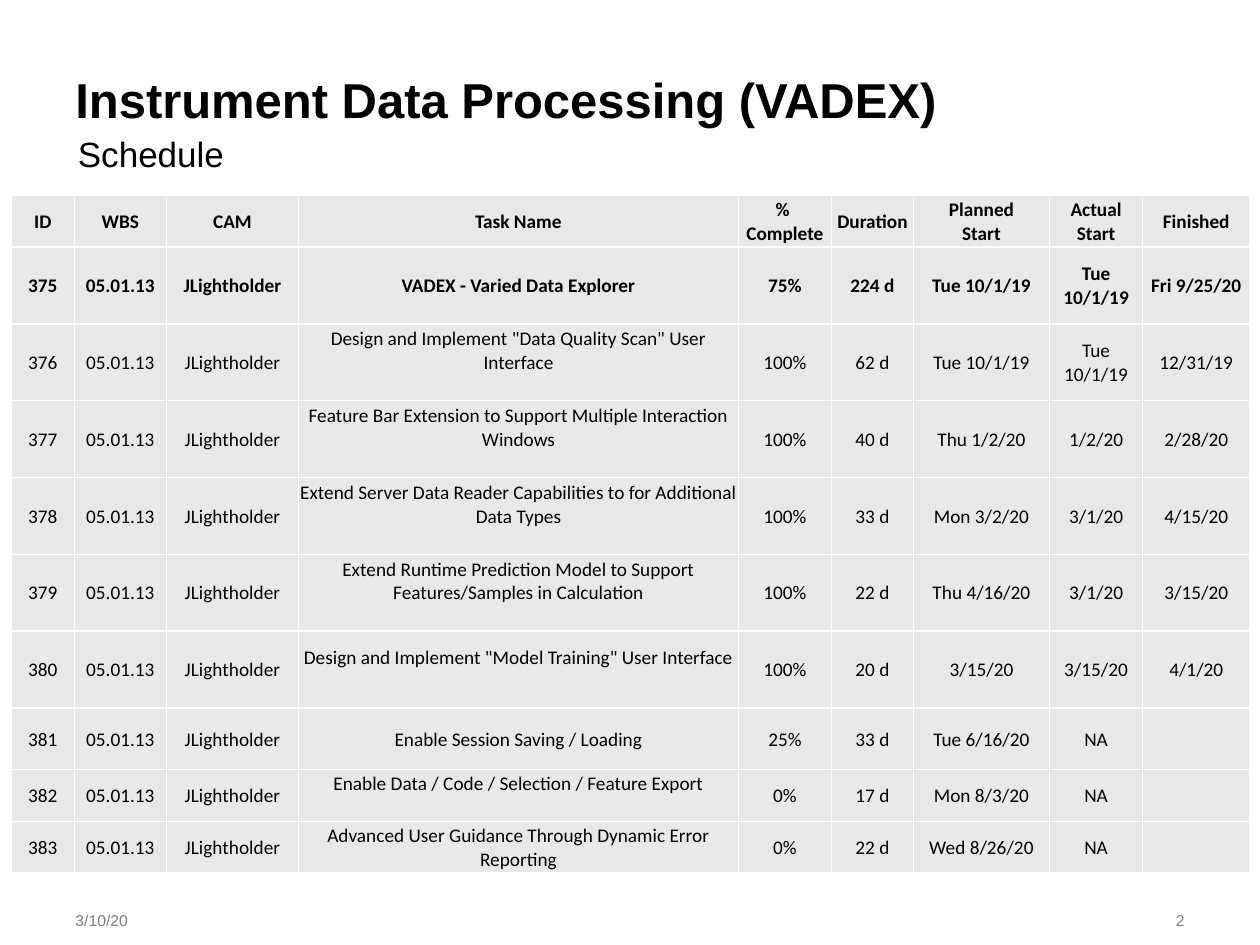
import pptx
import pptx.util
import pptx.dml.color
import pptx.enum.text
import pptx.oxml
import pptx.oxml.ns
from pptx.util import Inches

COLORS = {"text": "000000", "footer": "808080", "cell": "E8E8E8", "border": "FFFFFF"}
ALIGN = pptx.enum.text.PP_ALIGN
ANCHOR = pptx.enum.text.MSO_ANCHOR

# Content: text, (left, top, width, height), size, bold, color, align, anchor
TEXTS = [
    ("Schedule", (0.52, 1, 9, 0.36), 20, False, "text", ALIGN.LEFT, ANCHOR.TOP),
    ("Instrument Data Processing (VADEX)", (0.5, 0.5, 9, 0.48), 28, True, "text",
     ALIGN.LEFT, ANCHOR.TOP),
    ("3/10/20", (0.5, 7.1, 1.48, 0.4), 9, False, "footer", ALIGN.LEFT, ANCHOR.MIDDLE),
    ("2", (8.11, 7.1, 1.39, 0.4), 9, False, "footer", ALIGN.RIGHT, ANCHOR.MIDDLE),
]
HEADERS = ["ID", "WBS", "CAM", "Task Name", "% \nComplete", "Duration",
           "Planned\nStart", "Actual\nStart", "Finished"]
WBS, CAM = "05.01.13", "JLightholder"
# ID, task name, % complete, duration, planned start, actual start, finished
TASKS = [
    ("375", "VADEX - Varied Data Explorer", "75%", "224 d",
     "Tue 10/1/19", "Tue 10/1/19", "Fri 9/25/20"),
    ("376", 'Design and Implement "Data Quality Scan" User Interface', "100%", "62 d",
     "Tue 10/1/19", "Tue 10/1/19", "12/31/19"),
    ("377", "Feature Bar Extension to Support Multiple Interaction Windows", "100%", "40 d",
     "Thu 1/2/20", "1/2/20", "2/28/20"),
    ("378", "Extend Server Data Reader Capabilities to for Additional Data Types", "100%",
     "33 d", "Mon 3/2/20", "3/1/20", "4/15/20"),
    ("379", "Extend Runtime Prediction Model to Support Features/Samples in Calculation",
     "100%", "22 d", "Thu 4/16/20", "3/1/20", "3/15/20"),
    ("380", 'Design and Implement "Model Training" User Interface', "100%", "20 d",
     "3/15/20", "3/15/20", "4/1/20"),
    ("381", "Enable Session Saving / Loading", "25%", "33 d", "Tue 6/16/20", "NA", ""),
    ("382", "Enable Data / Code / Selection / Feature Export", "0%", "17 d",
     "Mon 8/3/20", "NA", ""),
    ("383", "Advanced User Guidance Through Dynamic Error Reporting", "0%", "22 d",
     "Wed 8/26/20", "NA", ""),
]
COLUMN_WIDTHS = [0.5, 0.73, 1.05, 3.49, 0.74, 0.65, 1.08, 0.74, 0.85]
ROW_HEIGHTS = [0.41] + [0.61] * 6 + [0.49, 0.41, 0.41]
TABLE_LEFT, TABLE_TOP = 0.09, 1.55
BOLD_ROWS = 2  # header and summary task
TASK_COLUMN = HEADERS.index("Task Name")
RAISED_IDS = {"376", "377", "378", "379", "380", "382"}  # task names set above the middle


def color(name):
    return pptx.dml.color.RGBColor.from_string(COLORS[name])


def style_paragraphs(frame, font_name, size, bold, color_name, align):
    for para in frame.paragraphs:
        para.alignment = align
        para.font.name = font_name
        para.font.size = pptx.util.Pt(size)
        para.font.bold = bold
        para.font.color.rgb = color(color_name)


def add_text(page, text, bounds, size, bold, color_name, align, anchor):
    box = page.shapes.add_textbox(*map(Inches, bounds))
    frame = box.text_frame
    frame.word_wrap = True
    frame.vertical_anchor = anchor
    frame.text = text
    style_paragraphs(frame, "Arial", size, bold, color_name, align)


def add_borders(cell):
    properties = cell._tc.get_or_add_tcPr()
    for index, side in enumerate(("lnL", "lnR", "lnT", "lnB")):
        properties.insert(index, pptx.oxml.parse_xml(
            f'<a:{side} {pptx.oxml.ns.nsdecls("a")} w="12700"><a:solidFill>'
            f'<a:srgbClr val="{COLORS["border"]}"/></a:solidFill></a:{side}>'))


def fill_cell(cell, text, bold, raised):
    cell.text_frame.text = text
    cell.vertical_anchor = ANCHOR.MIDDLE
    cell.margin_left = cell.margin_right = cell.margin_top = Inches(0.01)
    cell.margin_bottom = Inches(0.19 if raised else 0)
    cell.fill.solid()
    cell.fill.fore_color.rgb = color("cell")
    style_paragraphs(cell.text_frame, "Calibri", 11, bold, "text", ALIGN.CENTER)
    add_borders(cell)


def add_schedule(page):
    rows = [HEADERS] + [[task[0], WBS, CAM, *task[1:]] for task in TASKS]
    table = page.shapes.add_table(
        len(rows), len(HEADERS), Inches(TABLE_LEFT), Inches(TABLE_TOP),
        Inches(sum(COLUMN_WIDTHS)), Inches(sum(ROW_HEIGHTS))).table
    table.horz_banding = False
    for column, width in zip(table.columns, COLUMN_WIDTHS):
        column.width = Inches(width)
    for r, (values, height) in enumerate(zip(rows, ROW_HEIGHTS)):
        table.rows[r].height = Inches(height)
        for c, text in enumerate(values):
            raised = c == TASK_COLUMN and values[0] in RAISED_IDS
            fill_cell(table.cell(r, c), text, r < BOLD_ROWS, raised)


def main():
    deck = pptx.Presentation()
    deck.slide_width, deck.slide_height = Inches(10), Inches(7.5)
    page = deck.slides.add_slide(deck.slide_layouts[6])
    # Title, subtitle and footer
    for item in TEXTS:
        add_text(page, *item)
    # Schedule table
    add_schedule(page)
    deck.save("out.pptx")


if __name__ == "__main__":
    main()
